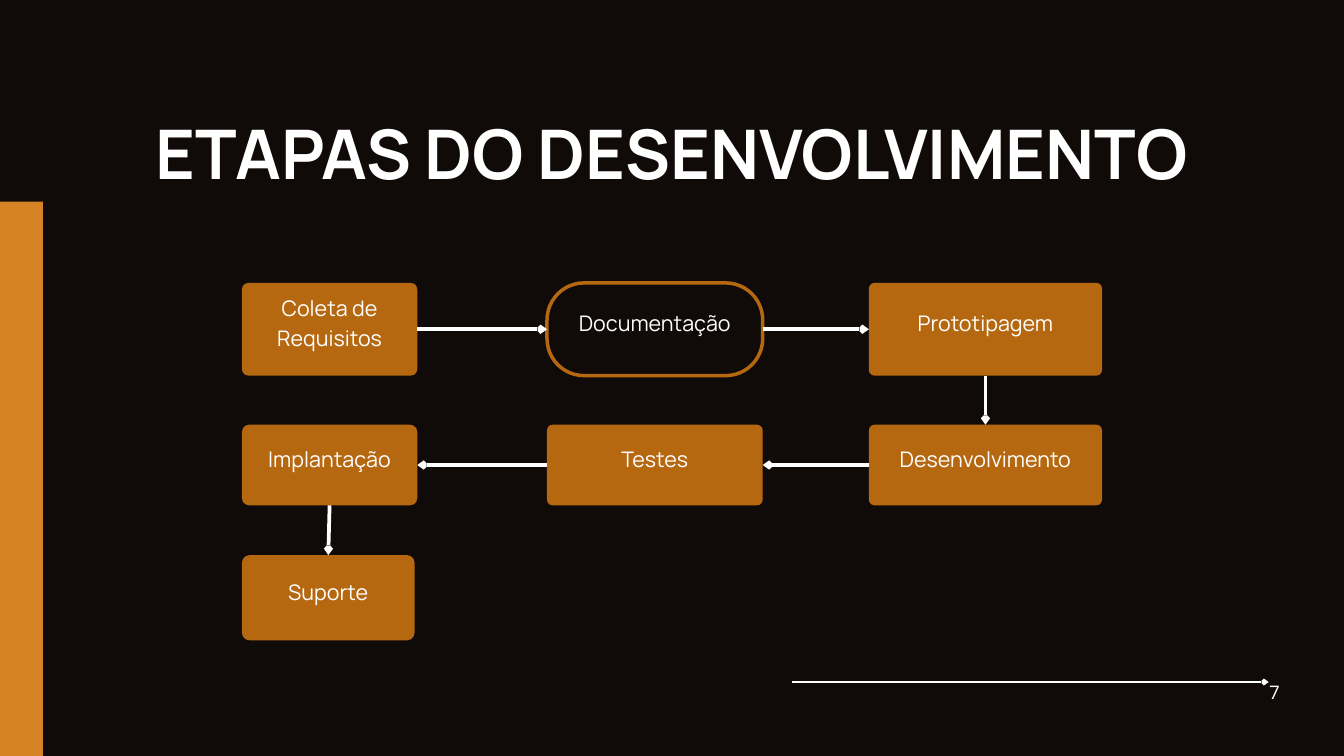
import lxml.etree
import pptx
import pptx.dml.color
import pptx.enum.shapes
import pptx.enum.text
import pptx.oxml.ns
import pptx.util

DARK, ORANGE, BROWN, WHITE = "100B09", "D68326", "B66811", "FFFFFF"
TOP, LEFT, BOTTOM, RIGHT = range(4)
SHAPE = pptx.enum.shapes.MSO_SHAPE
ANCHOR = pptx.enum.text.MSO_ANCHOR

# Columns and rows of the flow chart: start and size, in percent of its box
COLUMNS = [(0, 20.39), (35.47, 25.08), (72.89, 27.11)]
ROWS = [(0, 25.94), (39.66, 22.56), (76.13, 23.87)]
# Name, column, row, corner rounding
STEPS = [
    ("Coleta de Requisitos", 0, 0, 0.07),
    ("Documentação", 1, 0, 0.4),
    ("Prototipagem", 2, 0, 0.06),
    ("Desenvolvimento", 2, 1, 0.07),
    ("Testes", 1, 1, 0.07),
    ("Implantação", 0, 1, 0.09),
    ("Suporte", 0, 2, 0.09),
]
# Sides where each arrow leaves a step and enters the next one
TURNS = [(RIGHT, LEFT), (RIGHT, LEFT), (BOTTOM, TOP),
         (LEFT, RIGHT), (LEFT, RIGHT), (BOTTOM, TOP)]
OUTLINED = "Documentação"


def color(value):
    return pptx.dml.color.RGBColor.from_string(value)


def part(box, x, y, w, h):
    """Box at the given percentages of another box."""
    left, top, width, height = box
    return [round(v) for v in (left + width * x / 100, top + height * y / 100,
                               width * w / 100, height * h / 100)]


def write(tf, text, size, font, spacing, bold=False):
    p = tf.paragraphs[0]
    p.alignment = pptx.enum.text.PP_ALIGN.CENTER
    p.line_spacing = pptx.util.Pt(spacing)
    r = p.add_run()
    r.text = text
    r.font.size = pptx.util.Pt(size)
    r.font.name = font
    r.font.bold = bold
    r.font.color.rgb = color(WHITE)


def set_margins(tf, side=0, bottom=0):
    tf.margin_left = tf.margin_right = tf.margin_top = pptx.util.Inches(side)
    tf.margin_bottom = pptx.util.Inches(bottom)


def arrow(s, width, start=(0, 0), end=(0, 0)):
    c = s.shapes.add_connector(pptx.enum.shapes.MSO_CONNECTOR.STRAIGHT, *start, *end)
    c.line.color.rgb = color(WHITE)
    c.line.width = pptx.util.Pt(width)
    qn = pptx.oxml.ns.qn
    lxml.etree.SubElement(c.line._get_or_add_ln(), qn("a:tailEnd"),
                          type="arrow", w="sm", len="sm")
    lxml.etree.SubElement(c._element.spPr, qn("a:effectLst"))
    return c


def add_side_bar(s, box):
    bar = s.shapes.add_shape(SHAPE.RECTANGLE, *box)
    bar.shadow.inherit = False
    bar.fill.solid()
    bar.fill.fore_color.rgb = color(ORANGE)
    bar.line.fill.background()


def add_title(s, box, text):
    sp = s.shapes.title
    sp.left, sp.top, sp.width, sp.height = box
    tf = sp.text_frame
    tf.word_wrap = True
    tf.auto_size = pptx.enum.text.MSO_AUTO_SIZE.NONE
    tf.vertical_anchor = ANCHOR.TOP
    set_margins(tf)
    write(tf, text, 73.3, "Manrope", 70.4, bold=True)


def add_step(s, box, name, rounding):
    sp = s.shapes.add_shape(SHAPE.ROUNDED_RECTANGLE, *box)
    sp.shadow.inherit = False
    sp.adjustments[0] = rounding
    if name == OUTLINED:
        sp.fill.background()
        sp.line.color.rgb = color(BROWN)
        sp.line.width = pptx.util.Pt(3.75)
    else:
        sp.fill.solid()
        sp.fill.fore_color.rgb = color(BROWN)
        sp.line.fill.background()
    tf = sp.text_frame
    tf.word_wrap = True
    tf.vertical_anchor = ANCHOR.MIDDLE
    set_margins(tf, 0.06, 0.3)
    write(tf, name, 23, "Manrope", 32.2)
    return sp


def add_flow(s, box):
    steps = []
    for name, column, row, rounding in STEPS:
        (x, w), (y, h) = COLUMNS[column], ROWS[row]
        if name == "Suporte":
            w = 20.08
        steps.append(add_step(s, part(box, x, y, w, h), name, rounding))
    for start, end, (leave, enter) in zip(steps, steps[1:], TURNS):
        c = arrow(s, 4)
        c.begin_connect(start, leave)
        c.end_connect(end, enter)


def add_footer(s, box, number):
    """Long arrow that points to the page number."""
    left, top, width, height = part(box, 0, 36, 97.66, 0)
    arrow(s, 3, (left, top), (left + width, top))
    tf = s.shapes.add_textbox(*part(box, 97.66, 0, 2.34, 100)).text_frame
    tf.word_wrap = False
    set_margins(tf)
    write(tf, number, 20, "Open Sans", 28)


def main():
    prs = pptx.Presentation()
    prs.slide_width = pptx.util.Inches(20)
    prs.slide_height = pptx.util.Inches(11.25)
    page = (0, 0, prs.slide_width, prs.slide_height)
    s = prs.slides.add_slide(prs.slide_layouts[5])
    s.background.fill.solid()
    s.background.fill.fore_color.rgb = color(DARK)

    add_side_bar(s, part(page, 0, 26.67, 3.2, 73.33))
    add_title(s, part(page, 9.95, 16.8, 80.05, 9.87), "ETAPAS DO DESENVOLVIMENTO")
    add_flow(s, part(page, 18, 37.42, 64, 47.29))
    add_footer(s, part(page, 58.9, 89.51, 36.35, 1.96), "7")
    prs.save("out.pptx")


if __name__ == "__main__":
    main()
